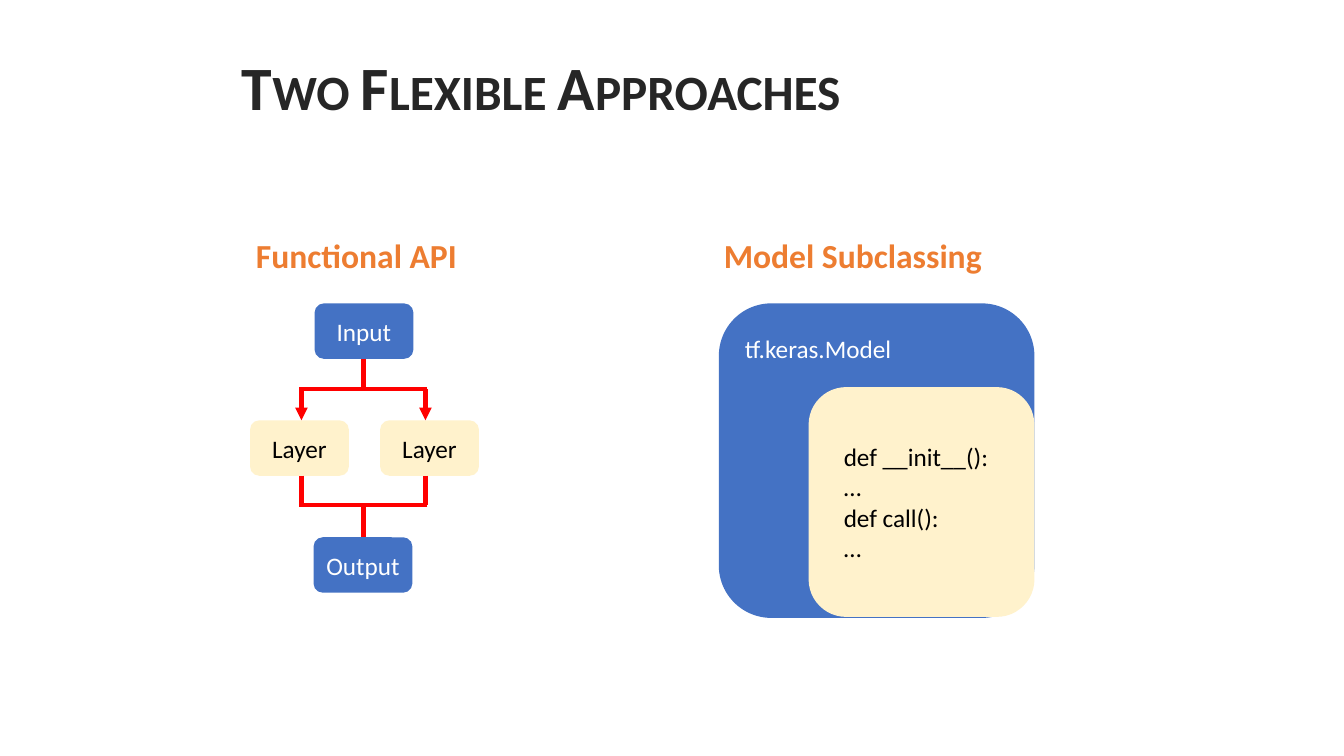
from pptx import Presentation
from pptx.dml.color import RGBColor
from pptx.enum.shapes import MSO_CONNECTOR, MSO_SHAPE
from pptx.enum.text import MSO_ANCHOR, PP_ALIGN
from pptx.oxml.ns import qn
from pptx.util import Inches, Pt
from lxml.etree import SubElement

# Content
TITLE = "Two Flexible Approaches"
HEADINGS = [("Functional API", 2.44, 2.59), ("Model Subclassing", 7.08, 3.29)]
NODES = [  # text, left, row, fill, text colour
    ("Input", 3.12, 0, "blue", "white"),
    ("Layer", 2.48, 1, "cream", "black"),
    ("Output", 3.11, 2, "blue", "white"),
    ("Layer", 3.77, 1, "cream", "black"),
]
PANELS = [(7.13, 3.01, 3.13, 3.12, "blue"), (8.02, 3.84, 2.24, 2.28, "cream")]
MODEL = ["tf.keras.Model"]
METHODS = ["def __init__():", "…", "def call():", "…"]

THEME = {
    "font": "Calibri",
    "colors": {"blue": "4472C4", "cream": "FFF2CC", "white": "FFFFFF", "black": "000000",
               "dark": "262626", "orange": "ED7D31", "red": "FF0000"},
    "title": 44, "heading": 24, "body": 18, "line": 3,
}

# Flow geometry
NODE_W, NODE_H = 0.98, 0.55
ROWS = [3.01 + 1.16 * i for i in range(3)]
BRANCHES, CENTER = (2.99, 4.22), 3.605
SPLIT_Y, JOIN_Y = 3.86, 5.01
OVERHANG = 0.02  # squares off the corners where lines meet


def color(name):
    return RGBColor.from_string(THEME["colors"][name])


def write(shape, lines, size, ink, bold=False, small_caps=False, **para):
    tf = shape.text_frame
    tf.word_wrap = True
    for i, line in enumerate(lines):
        p = tf.paragraphs[0] if i == 0 else tf.add_paragraph()
        for key, value in para.items():
            setattr(p, key, value)
        r = p.add_run()
        r.text = line
        look = {"name": THEME["font"], "size": Pt(THEME[size]), "bold": bold}
        for key, value in look.items():
            setattr(r.font, key, value)
        r.font.color.rgb = color(ink)
        if small_caps:
            r.font._element.set("cap", "small")


def add_text(s, box, lines, size, ink, **style):
    write(s.shapes.add_textbox(*map(Inches, box)), lines, size, ink, **style)


def add_box(s, box, fill):
    sp = s.shapes.add_shape(MSO_SHAPE.ROUNDED_RECTANGLE, *map(Inches, box))
    sp.shadow.inherit = False
    sp.fill.solid()
    sp.fill.fore_color.rgb = color(fill)
    sp.line.fill.background()
    return sp


def add_line(s, x1, y1, x2, y2, arrow=False):
    c = s.shapes.add_connector(MSO_CONNECTOR.STRAIGHT, *map(Inches, (x1, y1, x2, y2)))
    c.line.color.rgb = color("red")
    c.line.width = Pt(THEME["line"])
    if arrow:
        SubElement(c.line._get_or_add_ln(), qn("a:tailEnd"), type="triangle")
    SubElement(c._element.spPr, qn("a:effectLst"))


def main():
    prs = Presentation()
    prs.slide_width, prs.slide_height = Inches(13.33), Inches(7.5)
    s = prs.slides.add_slide(prs.slide_layouts[6])

    # Title and headings
    add_text(s, (2.3, 0.44, 10.23, 0.84), [TITLE], "title", "dark",
             bold=True, small_caps=True, alignment=PP_ALIGN.JUSTIFY)
    for text, left, width in HEADINGS:
        add_text(s, (left, 2.08, width, 0.63), [text], "heading", "orange",
                 bold=True, line_spacing=1.5)

    # Flow nodes
    for text, left, row, fill, ink in NODES:
        sp = add_box(s, (left, ROWS[row], NODE_W, NODE_H), fill)
        sp.text_frame.vertical_anchor = MSO_ANCHOR.MIDDLE
        write(sp, [text], "body", ink, alignment=PP_ALIGN.CENTER)

    # Flow lines: a stem at each end, two half bars and two branches per junction
    add_line(s, CENTER, ROWS[0] + NODE_H, CENTER, SPLIT_Y)
    add_line(s, CENTER, JOIN_Y, CENTER, ROWS[2])
    for x, side in zip(BRANCHES, (-1, 1)):
        for y in (SPLIT_Y, JOIN_Y):
            add_line(s, x + side * OVERHANG, y, CENTER, y)
        add_line(s, x, SPLIT_Y, x, ROWS[1], arrow=True)
        add_line(s, x, ROWS[1] + NODE_H, x, JOIN_Y)

    # Model class panels
    for *box, fill in PANELS:
        add_box(s, box, fill)
    add_text(s, (7.29, 3.26, 1.71, 0.4), MODEL, "body", "white")
    add_text(s, (8.27, 4.33, 1.71, 1.31), METHODS, "body", "black")

    prs.save("out.pptx")


if __name__ == "__main__":
    main()
